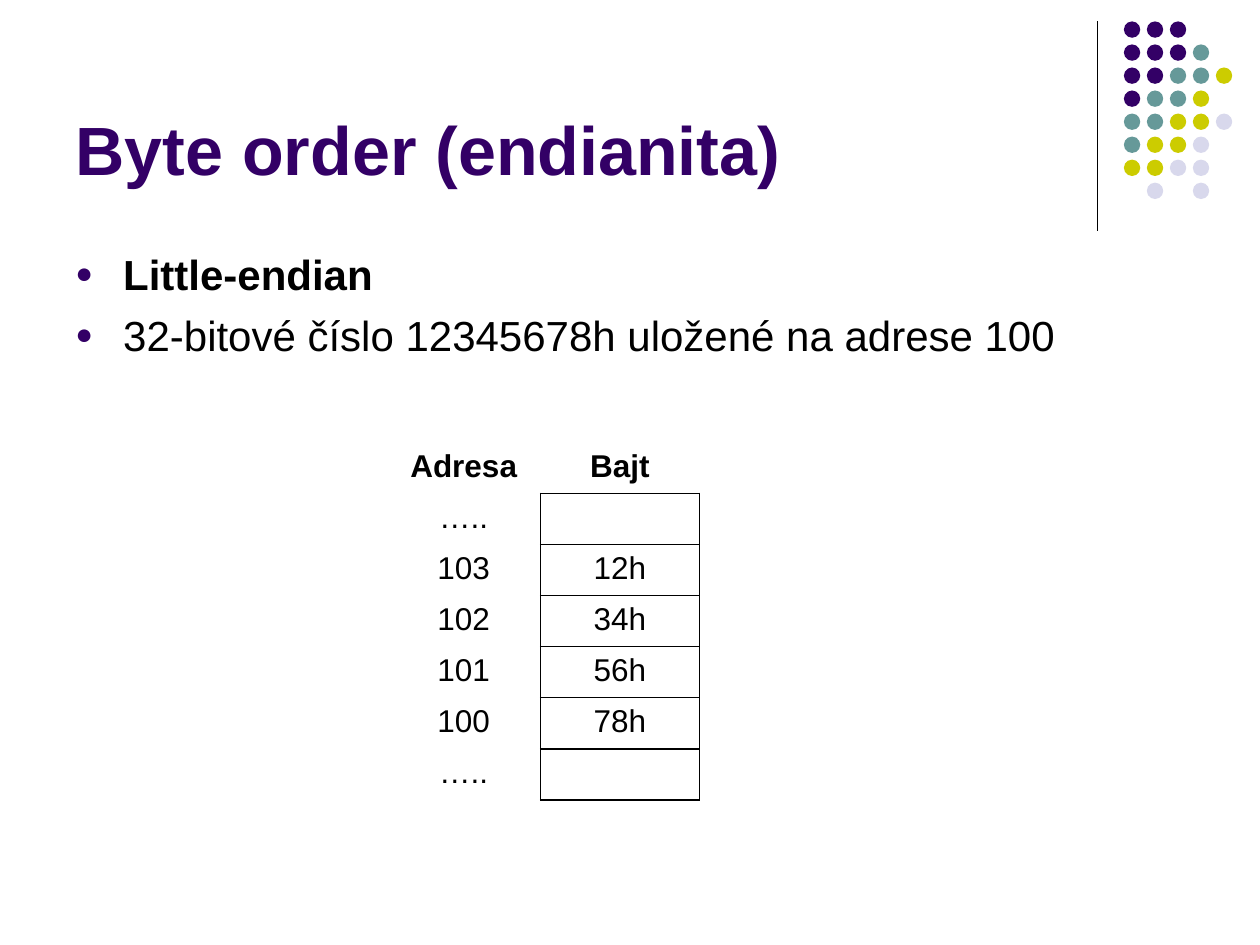
from dataclasses import dataclass

from lxml.etree import SubElement
from pptx import Presentation
from pptx.dml.color import RGBColor
from pptx.enum.shapes import MSO_CONNECTOR, MSO_SHAPE
from pptx.enum.text import MSO_ANCHOR, PP_ALIGN
from pptx.oxml.ns import qn
from pptx.util import Inches, Pt


@dataclass(frozen=True)
class Theme:
    font: str = "Arial"
    purple: str = "330066"
    teal: str = "669999"
    olive: str = "CCCC00"
    lavender: str = "D8D8EC"
    ink: str = "000000"
    paper: str = "FFFFFF"
    title_size: int = 39
    body_size: int = 24
    table_size: int = 18


@dataclass(frozen=True)
class Box:
    left: float
    top: float
    width: float
    height: float

    def emu(self):
        return [Inches(v) for v in (self.left, self.top, self.width, self.height)]


THEME = Theme()
DOT_ROWS = ["PPP", "PPPT", "PPTTO", "PTTO", "TTOOL", "TOOL", "OOLL", " L L"]
DOT_COLOURS = {"P": THEME.purple, "T": THEME.teal,
               "O": THEME.olive, "L": THEME.lavender}
BULLETS = [("Little-endian", True),
           ("32-bitové číslo 12345678h uložené na adrese 100", False)]
MEMORY = [("Adresa", "Bajt"), ("…..", ""), ("103", "12h"), ("102", "34h"),
          ("101", "56h"), ("100", "78h"), ("…..", "")]


def add_span(para, text, size, colour, bold=False):
    span = para.add_run()
    span.text = text
    span.font.name = THEME.font
    span.font.size = Pt(size)
    span.font.bold = bold
    span.font.color.rgb = RGBColor.from_string(colour)


def add_text_frame(page, box):
    frame = page.shapes.add_textbox(*box.emu()).text_frame
    frame.word_wrap = True
    return frame


def add_bullet(para, indent):
    props = para._p.get_or_add_pPr()
    props.set("marL", str(Inches(indent)))
    props.set("indent", str(-Inches(indent)))
    colour = SubElement(props, qn("a:buClr"))
    SubElement(colour, qn("a:srgbClr"), val=THEME.purple)
    SubElement(props, qn("a:buSzPct"), val="70000")
    SubElement(props, qn("a:buFont"), typeface=THEME.font)
    SubElement(props, qn("a:buChar"), char="●")


def add_rule(page, box):
    """Vertical line down the left side of the box."""
    left, top, _, height = box.emu()
    rule = page.shapes.add_connector(MSO_CONNECTOR.STRAIGHT, left, top, left, top + height)
    rule.line.color.rgb = RGBColor.from_string(THEME.ink)
    rule.line.width = Pt(0.75)
    SubElement(rule._element.spPr, qn("a:effectLst"))


def add_dots(page, box):
    """Dot pattern on a grid of 5 columns and 8 rows."""
    diameter = 0.13
    step_x = (box.width - diameter) / (max(map(len, DOT_ROWS)) - 1)
    step_y = (box.height - diameter) / (len(DOT_ROWS) - 1)
    group = page.shapes.add_group_shape()
    for row, codes in enumerate(DOT_ROWS):
        for column, code in enumerate(codes):
            if code not in DOT_COLOURS:
                continue
            place = Box(box.left + column * step_x, box.top + row * step_y,
                        diameter, diameter)
            dot = group.shapes.add_shape(MSO_SHAPE.OVAL, *place.emu())
            dot.shadow.inherit = False
            dot.fill.solid()
            dot.fill.fore_color.rgb = RGBColor.from_string(DOT_COLOURS[code])
            dot.line.fill.background()


def add_title(page, box):
    frame = add_text_frame(page, box)
    frame.vertical_anchor = MSO_ANCHOR.BOTTOM
    add_span(frame.paragraphs[0], "Byte order (endianita)",
             THEME.title_size, THEME.purple, True)


def add_body(page, box):
    frame = add_text_frame(page, box)
    frame.margin_top = Inches(0.09)
    for index, (text, bold) in enumerate(BULLETS):
        para = frame.add_paragraph() if index else frame.paragraphs[0]
        add_bullet(para, 0.38)
        if index:
            para.space_before = Pt(6)
        add_span(para, text, THEME.body_size, THEME.ink, bold)


def set_borders(cell, colours):
    """Colours run left, right, top, bottom."""
    props = cell._tc.get_or_add_tcPr()
    for index, (side, colour) in enumerate(zip("LRTB", colours)):
        line = props.makeelement(qn(f"a:ln{side}"), {"w": str(Pt(1))})
        fill = SubElement(line, qn("a:solidFill"))
        SubElement(fill, qn("a:srgbClr"), val=colour)
        props.insert(index, line)


def is_memory_cell(row, column):
    return column == 1 and 1 <= row < len(MEMORY)


def add_memory_table(page, box):
    """Addresses on the left, framed bytes on the right."""
    table = page.shapes.add_table(len(MEMORY), 2, *box.emu()).table
    table.first_row = table.horz_banding = False
    address_width = 1.22
    for column, width in zip(table.columns, (address_width, box.width - address_width)):
        column.width = Inches(width)
    for row, texts in enumerate(MEMORY):
        for column, text in enumerate(texts):
            cell = table.cell(row, column)
            cell.fill.background()
            # An edge is dark when a memory cell lies on either side of it
            neighbours = [(row, column - 1), (row, column + 1),
                          (row - 1, column), (row + 1, column)]
            set_borders(cell, [
                THEME.ink if is_memory_cell(row, column) or is_memory_cell(*near)
                else THEME.paper for near in neighbours])
            para = cell.text_frame.paragraphs[0]
            para.alignment = PP_ALIGN.CENTER
            if text:
                add_span(para, text, THEME.table_size, THEME.ink, row == 0)


def main():
    deck = Presentation()
    deck.slide_width, deck.slide_height = Inches(10), Inches(7.5)
    page = deck.slides.add_slide(deck.slide_layouts[6])
    page.background.fill.solid()
    page.background.fill.fore_color.rgb = RGBColor.from_string(THEME.paper)

    # Corner decoration
    add_rule(page, Box(8.71, 0.17, 0, 1.66))
    add_dots(page, Box(8.92, 0.17, 0.86, 1.41))
    # Content
    add_title(page, Box(0.5, 0.13, 8.25, 1.42))
    add_body(page, Box(0.5, 1.88, 9, 4.82))
    add_memory_table(page, Box(3.07, 3.51, 2.48, 2.84))

    deck.save("out.pptx")


if __name__ == "__main__":
    main()
